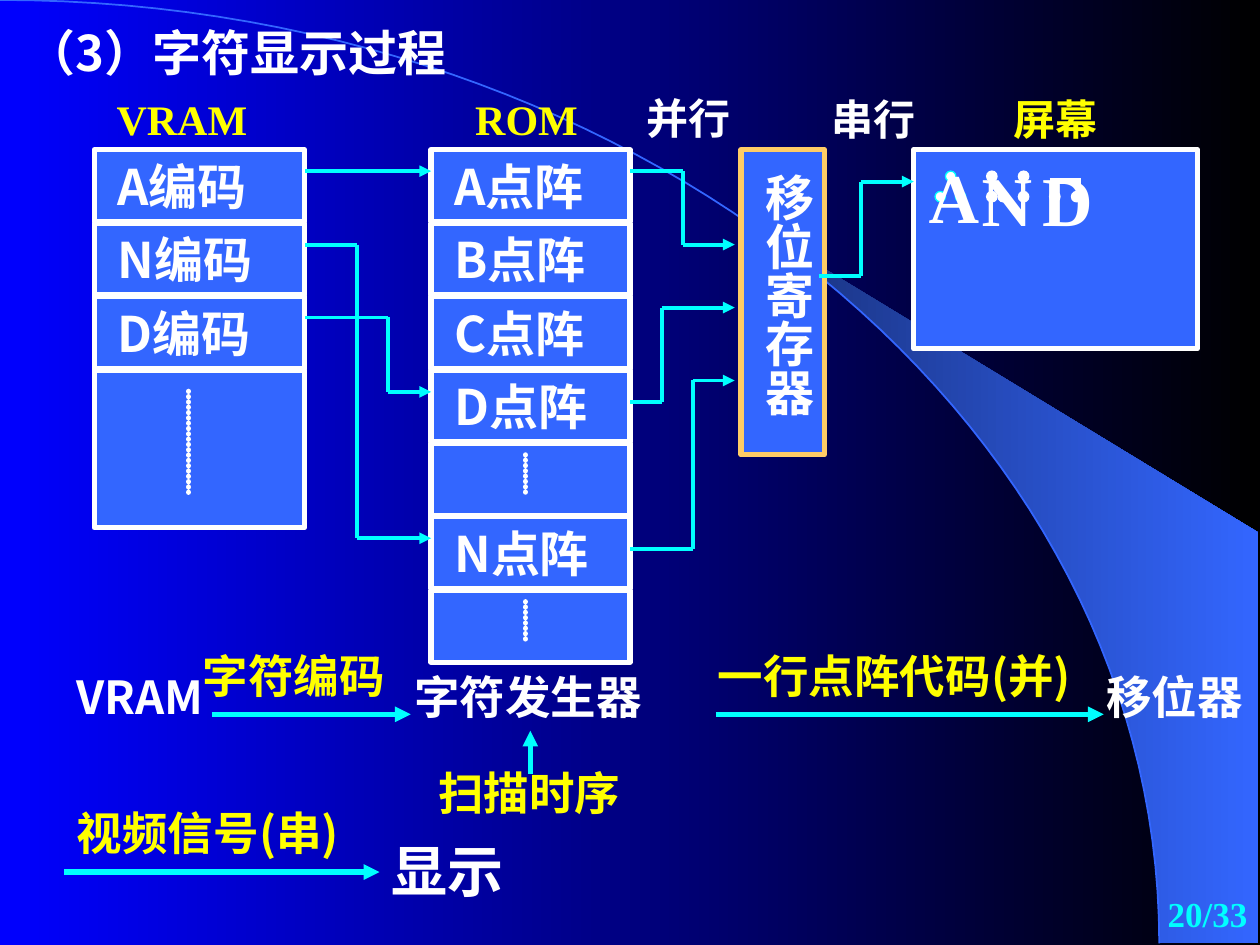
from dataclasses import dataclass
from itertools import pairwise

from lxml.etree import SubElement
from pptx import Presentation
from pptx.dml.color import RGBColor
from pptx.enum.shapes import MSO_CONNECTOR, MSO_SHAPE
from pptx.enum.text import MSO_ANCHOR, MSO_AUTO_SIZE, PP_ALIGN
from pptx.oxml.ns import qn
from pptx.util import Cm, Pt


@dataclass(frozen=True)
class Theme:
    white: str = "FFFFFF"
    yellow: str = "FFFF00"
    cyan: str = "00FFFF"
    blue: str = "3366FF"
    amber: str = "FFCC66"
    night: tuple = ("0000FF", "000000")
    beam: tuple = ("182F76", "3366FF")
    sans: str = "Noto Sans CJK SC"
    serif: str = "Times New Roman"
    page: int = 20
    label: int = 24
    flow: int = 26
    body: int = 28
    display: int = 32
    glyph: int = 40
    hairline: float = 0.75
    curve: float = 1
    wire: float = 2.25
    border: float = 3


THEME = Theme()
ROW_PITCH, ROW_HEIGHT = 1.48, 1.45
PLAIN_FRAME = {
    "word_wrap": True, "auto_size": MSO_AUTO_SIZE.NONE,
    "vertical_anchor": MSO_ANCHOR.TOP,
    "margin_left": Cm(0.25), "margin_right": Cm(0.25),
    "margin_top": Cm(0.13), "margin_bottom": Cm(0.13),
}


def assign(target, values):
    for name, value in values.items():
        setattr(target, name, value)


def write(holder, words, size, color=THEME.white, face=THEME.sans,
          align=PP_ALIGN.LEFT, **frame_values):
    frame = holder.text_frame
    assign(frame, PLAIN_FRAME | frame_values)
    paragraph = frame.paragraphs[0]
    paragraph.alignment = align
    run = paragraph.add_run()
    run.text = words
    assign(run.font, {"size": Pt(size), "bold": True, "name": face})
    run.font.color.rgb = RGBColor.from_string(color)
    for properties in holder.element.iter(qn("a:rPr")):
        SubElement(properties, qn("a:ea"), typeface=THEME.sans)


def label(slide, box, words, size, color=THEME.white, **style):
    write(slide.shapes.add_textbox(*map(Cm, box)), words, size, color, **style)


def panel(slide, box, outline=THEME.white, fill=THEME.blue,
          width=THEME.border, kind=MSO_SHAPE.RECTANGLE):
    area = slide.shapes.add_shape(kind, *map(Cm, box))
    area.shadow.inherit = False
    area.fill.solid()
    area.fill.fore_color.rgb = RGBColor.from_string(fill)
    area.line.color.rgb = RGBColor.from_string(outline)
    area.line.width = Pt(width)
    return area


def segment(slide, start, end, color=THEME.cyan, width=THEME.border,
            arrow=False, dotted=False):
    link = slide.shapes.add_connector(
        MSO_CONNECTOR.STRAIGHT, *map(Cm, (*start, *end)))
    link.line.color.rgb = RGBColor.from_string(color)
    link.line.width = Pt(width)
    properties = link.element.spPr
    stroke = properties.find(qn("a:ln"))
    if dotted:
        stroke.set("cap", "rnd")
        dashes = SubElement(stroke, qn("a:custDash"))
        SubElement(dashes, qn("a:ds"), d="1000", sp="100000")
    if arrow:
        SubElement(stroke, qn("a:tailEnd"), type="triangle")
    SubElement(properties, qn("a:effectLst"))


def blend(fill, colors):
    fill.gradient()
    fill.gradient_angle = 0
    for stop, color, position in zip(fill.gradient_stops, colors, (0, 1)):
        stop.color.rgb = RGBColor.from_string(color)
        stop.position = position


def backdrop(slide, box):
    left, top, width, height = box

    def arc(t):
        x = 3 * t * (1 - t) ** 2 * 12.9 + (3 * t * t * (1 - t) + t ** 3) * 23.37
        y = 3 * t * t * (1 - t) * 8.51 + t ** 3 * 19.02
        return Cm(left + x), Cm(top + y)

    def outline(points, close):
        builder = slide.shapes.build_freeform(*points[0], scale=1.0)
        builder.add_line_segments(points[1:], close=close)
        figure = builder.convert_to_shape()
        figure.shadow.inherit = False
        return figure

    blend(slide.background.fill, THEME.night)
    corners = [(Cm(left + width - 0.03), Cm(top + y))
               for y in (height - 0.03, 10.74)]
    edge = [arc(0.44 + 0.56 * i / 30) for i in range(31)]
    beam = outline(corners + edge, True)
    blend(beam.fill, THEME.beam)
    beam.line.fill.background()
    rim = outline([arc(i / 60) for i in range(61)], False)
    rim.fill.background()
    rim.line.color.rgb = RGBColor.from_string(THEME.blue)
    rim.line.width = Pt(THEME.curve)


def heading(slide, box, words):
    title = slide.shapes.title
    assign(title, dict(zip(("left", "top", "width", "height"), map(Cm, box))))
    write(title, words, THEME.body)
    slide.shapes.element.append(title.element)


def memory(slide, box, name, name_inset, rows):
    left, top, width = box
    label(slide, (left + name_inset, top - 1.27, width - name_inset, 1.27),
          name, THEME.label, THEME.yellow, face=THEME.serif)
    for index, (words, height, dots) in enumerate(rows):
        y = top + index * ROW_PITCH
        cell = panel(slide, (left, y, width, height))
        if words:
            write(cell, words, THEME.body, margin_left=Cm(0.47))
        else:
            start, end = ((left + 1.9, y + offset) for offset in dots)
            segment(slide, start, end, THEME.white, dotted=True)


def register(slide, box, words):
    area = panel(slide, box, THEME.amber)
    write(area, words, THEME.body, margin_left=Cm(0.13), margin_right=Cm(0.13),
          margin_top=Cm(0.47), margin_bottom=Cm(0))
    area.element.txBody.find(qn("a:bodyPr")).set("vert", "eaVert")


def screen(slide, box, name):
    left, top, width, _ = box
    panel(slide, box)
    label(slide, (left, top - 1.27, width, 1.27), name, THEME.label,
          THEME.yellow, face=THEME.serif, align=PP_ALIGN.CENTER)
    scan_rows = {
        THEME.cyan: [(0.64, 0.43), (0.43, 0.84), (0.84, 0.84)],
        THEME.white: [(1.47, 0.43), (2.11, 0.43), (1.47, 0.84), (1.7, 0.84),
                      (2.11, 0.84), (2.74, 0.84), (3.18, 0.84)],
    }
    for outline, pixels in scan_rows.items():
        for x, y in pixels:
            panel(slide, (left + x, top + y, 0.21, 0.21), outline, THEME.white,
                  THEME.hairline, MSO_SHAPE.OVAL)
    segment(slide, (left + 2.74, top + 0.63), (left + 3.38, top + 0.63),
            THEME.white)
    for letter, x, y in (("A", 0.05, -0.05), ("N", 1.12, 0), ("D", 2.34, 0)):
        label(slide, (left + x, top + y, 1.85, 1.96), letter, THEME.glyph,
              face=THEME.serif)


def wiring(slide, box):
    left, top = box
    routes = [
        [(0, 0.43), (2.54, 0.43)],
        [(0, 1.91), (1.04, 1.91), (1.04, 7.83), (2.54, 7.83)],
        [(0, 3.38), (1.67, 3.38), (1.67, 4.88), (2.54, 4.88)],
        [(6.55, 0.43), (7.62, 0.43), (7.62, 1.91), (8.66, 1.91)],
        [(6.55, 5.08), (7.19, 5.08), (7.19, 3.18), (8.66, 3.18)],
        [(6.55, 8.05), (7.82, 8.05), (7.82, 4.65), (8.66, 4.65)],
        [(10.36, 2.54), (11.2, 2.54), (11.2, 0.64), (12.27, 0.64)],
    ]
    for route in routes:
        points = [(left + x, top + y) for x, y in route]
        for start, end in pairwise(points):
            segment(slide, start, end, width=THEME.wire, arrow=end == points[-1])
    for words, x, y in (("并行", 6.63, -1.29), ("串行", 10.36, -1.27)):
        label(slide, (left + x, top + y, 2.34, 1.27), words, THEME.label,
              face=THEME.serif)


def signal_flow(slide, box):
    left, top = box
    steps = [
        ("VRAM", 0, 0.43, 3.61, THEME.flow, THEME.white),
        ("字符编码", 2.54, 0, 5.92, THEME.flow, THEME.yellow),
        ("字符发生器", 6.8, 0.43, 6.02, THEME.flow, THEME.white),
        ("扫描时序", 7.29, 2.36, 5.92, THEME.flow, THEME.yellow),
        ("一行点阵代码(并)", 12.92, 0, 9.32, THEME.flow, THEME.yellow),
        ("移位器", 20.75, 0.43, 3.35, THEME.flow, THEME.white),
        ("视频信号(串)", 0, 3.17, 9.32, THEME.flow, THEME.yellow),
        ("显示", 6.35, 3.81, 3.66, THEME.display, THEME.white),
    ]
    for words, x, y, width, size, color in steps:
        label(slide, (left + x, top + y, width, 1.37), words, size, color)
    for x1, y1, x2, y2 in ((2.97, 1.47, 6.98, 1.47), (13.13, 1.47, 20.95, 1.47),
                           (9.39, 2.67, 9.39, 1.8), (0, 4.65, 6.35, 4.65)):
        segment(slide, (left + x1, top + y1), (left + x2, top + y2), arrow=True)


def main():
    deck = Presentation()
    assign(deck, {"slide_width": Cm(25.4), "slide_height": Cm(19.05)})
    slide = deck.slides.add_slide(deck.slide_layouts[5])
    backdrop(slide, (0, 0, 25.4, 19.05))
    label(slide, (20.12, 17.78, 5.28, 1.27), "20/33", THEME.page, THEME.cyan,
          face=THEME.serif, align=PP_ALIGN.RIGHT,
          vertical_anchor=MSO_ANCHOR.MIDDLE)
    heading(slide, (0.28, 0.33, 12.6, 1.45), "（3）字符显示过程")
    codes = [(f"{letter}编码", ROW_HEIGHT, None) for letter in "AND"]
    memory(slide, (1.9, 3.02, 4.24), "VRAM", 0.2,
           codes + [(None, 3.18, (0.43, 2.54))])
    gap = (None, ROW_HEIGHT, (0.23, 1.07))
    patterns = [(f"{letter}点阵", ROW_HEIGHT, None) for letter in "ABCDN"]
    memory(slide, (8.69, 3.02, 4.01), "ROM", 0.64,
           patterns[:4] + [gap, patterns[4], gap])
    register(slide, (14.94, 3.02, 1.68, 6.15), "移位寄存器")
    screen(slide, (18.42, 3.02, 5.72, 4.01), "屏幕")
    wiring(slide, (6.15, 3.02))
    signal_flow(slide, (1.3, 12.93))
    deck.save("out.pptx")


if __name__ == "__main__":
    main()
